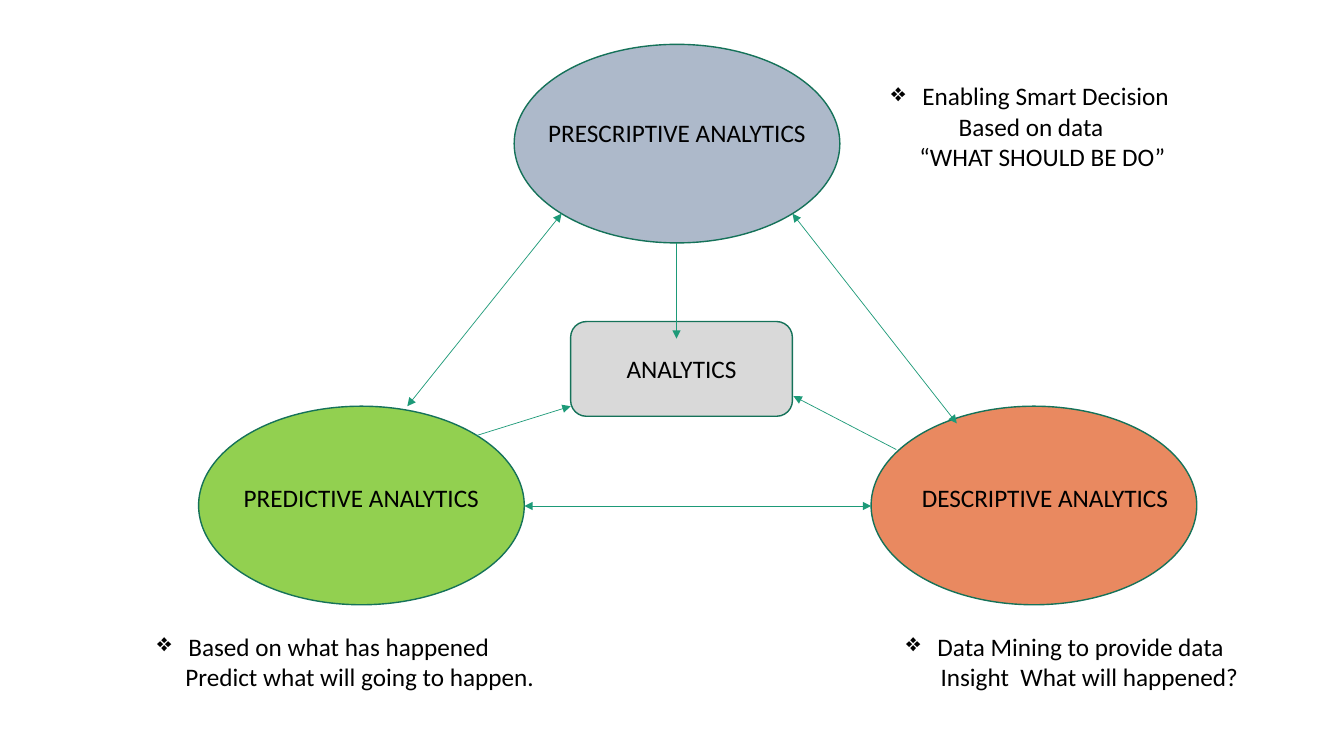
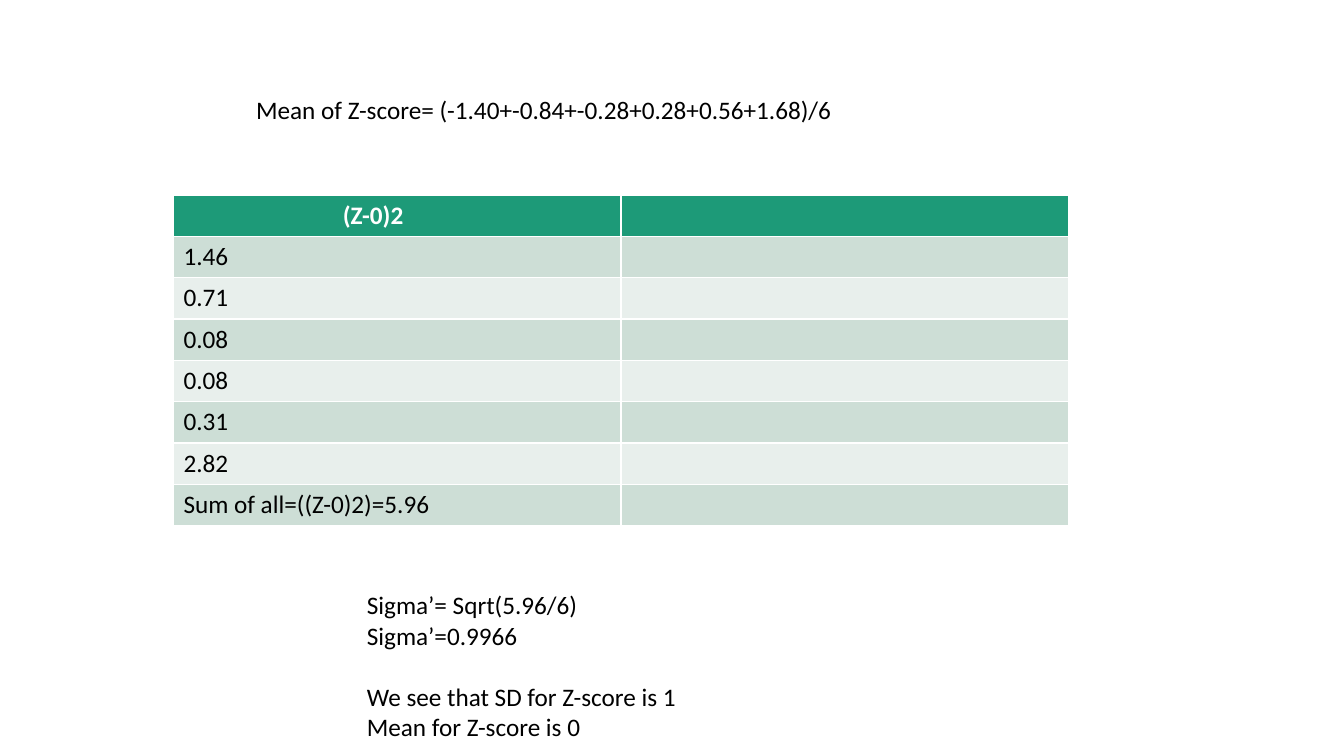
"""Builds two slides: the analytics triangle and the Z-score working."""
from lxml.etree import SubElement
from pptx import Presentation
from pptx.dml.color import RGBColor
from pptx.enum.shapes import MSO_CONNECTOR, MSO_SHAPE
from pptx.enum.text import MSO_ANCHOR, MSO_AUTO_SIZE, PP_ALIGN
from pptx.oxml.ns import qn
from pptx.util import Inches, Pt

FONT, SIZE = "Calibri", 18
BLACK, WHITE = "000000", "FFFFFF"
GREEN, EDGE = "1D9A78", "157259"
BANDS = ("CDDED6", "E8EFEC")
HANG = 0.31

OVAL = (3.23, 1.97)
OVALS = [
    ("PRESCRIPTIVE ANALYTICS", 5.1, 0.44, "ADB9CA", 0, 0.23),
    ("PREDICTIVE ANALYTICS", 1.97, 4.03, "92D050", 0, 0.15),
    ("DESCRIPTIVE ANALYTICS", 8.64, 4.03, "E98960", 0.22, 0.15),
]
HUB = ("ANALYTICS", 5.66, 3.19, 2.2, 0.94, "D9D9D9")
NOTES = [
    ((8.74, 0.75, 3.05, 1.01), "Enabling Smart Decision",
     [("Based on data", 0.67), ("“WHAT SHOULD BE DO”", 0.28)]),
    ((1.46, 6.21, 4.05, 0.71), "Based on what has happened",
     [("Predict what will going to happen.", 0.28)]),
    ((8.89, 6.21, 3.54, 0.71), "Data Mining to provide data",
     [("Insight  What will happened?", 0.34)]),
]
BOTH = ("headEnd", "tailEnd")
ONE = ("tailEnd",)
ARROWS = [
    (5.57, 2.12, 4.04, 4.03, BOTH),
    (7.86, 2.12, 9.49, 4.2, BOTH),
    (5.2, 5.02, 8.64, 5.02, BOTH),
    (4.73, 4.32, 5.66, 4.03, ONE),
    (6.71, 2.41, 6.71, 3.36, ONE),
    (8.89, 4.46, 7.87, 3.93, ONE),
]

MEAN = "Mean of Z-score= (-1.40+-0.84+-0.28+0.28+0.56+1.68)/6"
HEAD = "(Z-0)2"
ROWS = ["1.46", "0.71", "0.08", "0.08", "0.31", "2.82",
        "Sum of all=((Z-0)2)=5.96"]
SIGMA = [
    ("Sigma’= Sqrt(5.96/6)", 0),
    ("Sigma’=0.9966", 0),
    ("We see that SD for Z-score is 1", 22),
    ("Mean for Z-score is 0", 0),
]


def color(code):
    """Turns a hex string into a colour."""
    return RGBColor.from_string(code)


def write(para, text, ink=BLACK, bold=False):
    """Adds one run in the shared text style."""
    run = para.add_run()
    run.text = text
    font = run.font
    font.name, font.size, font.bold = FONT, Pt(SIZE), bold
    font.color.rgb = color(ink)


def indent(para, left, hang=0, mark=None):
    """Sets the left indent and an optional bullet."""
    props = para._p.get_or_add_pPr()
    props.set("marL", str(Inches(left)))
    props.set("indent", str(-Inches(hang)))
    if mark:
        SubElement(props, qn("a:buChar")).set("char", mark)


def paras(frame, count):
    """Yields the first paragraph and then new ones."""
    for i in range(count):
        yield frame.add_paragraph() if i else frame.paragraphs[0]


def box(slide, *at):
    """Adds a wrapping text box and returns its frame."""
    frame = slide.shapes.add_textbox(*map(Inches, at)).text_frame
    frame.word_wrap = True
    return frame


def node(slide, kind, text, at, fill, left=0, low=0):
    """Adds a labelled shape, its label shifted by the margins."""
    shape = slide.shapes.add_shape(kind, *map(Inches, at))
    shape.shadow.inherit = False
    shape.fill.solid()
    shape.fill.fore_color.rgb = color(fill)
    shape.line.color.rgb = color(EDGE)
    shape.line.width = Pt(1)
    frame = shape.text_frame
    frame.word_wrap = False
    frame.vertical_anchor = MSO_ANCHOR.MIDDLE
    frame.margin_left, frame.margin_bottom = Inches(left), Inches(low)
    frame.margin_right = frame.margin_top = 0
    para = frame.paragraphs[0]
    para.alignment = PP_ALIGN.CENTER
    write(para, text)


def arrow(slide, ends, tips):
    """Adds a thin line with the given arrowheads."""
    link = slide.shapes.add_connector(MSO_CONNECTOR.STRAIGHT,
                                      *map(Inches, ends))
    link.line.color.rgb = color(GREEN)
    link.line.width = Pt(0.5)
    line = link.line._get_or_add_ln()
    for tip in tips:
        SubElement(line, qn("a:" + tip)).set("type", "triangle")
    SubElement(link._element.spPr, qn("a:effectLst"))


def note(slide, at, lead, rest):
    """Adds a bulleted line with indented lines below it."""
    frame = box(slide, *at)
    lines = [(lead, HANG, HANG, "❖")]
    lines += [(text, left, 0, None) for text, left in rest]
    for para, (text, left, hang, mark) in zip(paras(frame, len(lines)), lines):
        indent(para, left, hang, mark)
        write(para, text)


def model(deck):
    """Builds the analytics triangle."""
    slide = deck.slides.add_slide(deck.slide_layouts[6])
    for text, x, y, fill, left, low in OVALS:
        node(slide, MSO_SHAPE.OVAL, text, (x, y, *OVAL), fill, left, low)
    text, *at, fill = HUB
    node(slide, MSO_SHAPE.ROUNDED_RECTANGLE, text, at, fill)
    for *ends, tips in ARROWS:
        arrow(slide, ends, tips)
    for item in NOTES:
        note(slide, *item)


def score(deck):
    """Builds the Z-score table and its working."""
    slide = deck.slides.add_slide(deck.slide_layouts[5])
    title = slide.shapes.title
    title.left, title.top = Inches(2.44), Inches(0.89)
    title.width, title.height = Inches(6.2), Inches(1.01)
    frame = title.text_frame
    frame.auto_size = MSO_AUTO_SIZE.NONE
    frame.vertical_anchor = MSO_ANCHOR.TOP
    frame.paragraphs[0].alignment = PP_ALIGN.LEFT
    write(frame.paragraphs[0], MEAN)

    texts = [HEAD] + ROWS
    at = map(Inches, (1.72, 1.94, 8.88, 3.26))
    grid = slide.shapes.add_table(len(texts), 2, *at).table
    for i, text in enumerate(texts):
        grid.rows[i].height = Inches(0.41 if i else 0.39)
        for cell in grid.rows[i].cells:
            cell.fill.solid()
            cell.fill.fore_color.rgb = color(BANDS[(i - 1) % 2] if i else GREEN)
        first = grid.cell(i, 0)
        write(first.text_frame.paragraphs[0], text,
              BLACK if i else WHITE, not i)
    grid.cell(0, 0).margin_left = Inches(1.68)

    frame = box(slide, 3.54, 5.8, 3.31, 1.62)
    for para, (text, gap) in zip(paras(frame, len(SIGMA)), SIGMA):
        if gap:
            para.space_before = Pt(gap)
        write(para, text)


def main():
    """Builds and saves the deck."""
    deck = Presentation()
    deck.slide_width, deck.slide_height = Inches(13.33), Inches(7.5)
    model(deck)
    score(deck)
    deck.save("out.pptx")


if __name__ == "__main__":
    main()
